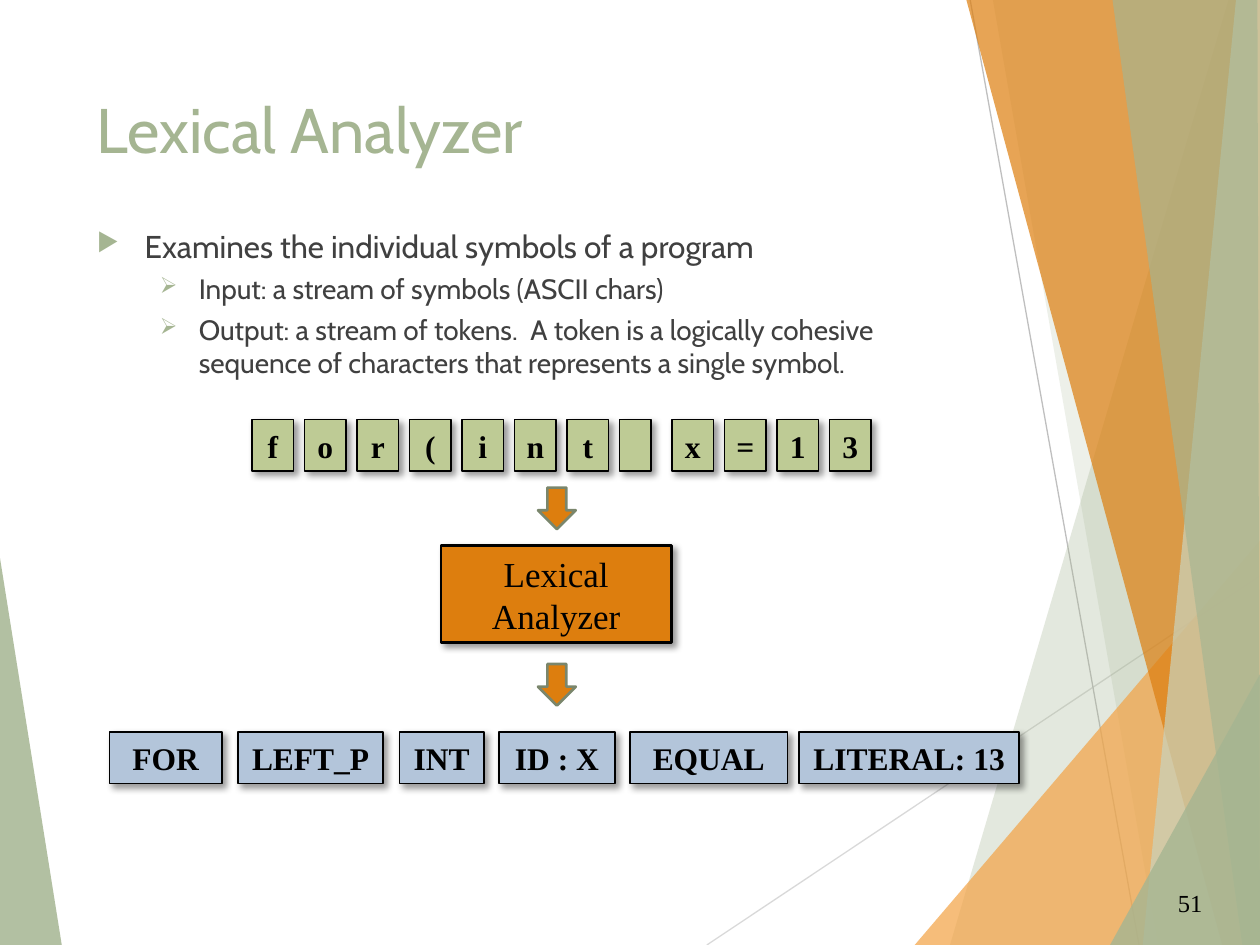
from lxml import etree
from pptx import Presentation, util as u
from pptx.dml.color import RGBColor
from pptx.enum import shapes, text
from pptx.oxml import parse_xml
from pptx.oxml.ns import nsdecls, qn

SERIF, SANS = "Times New Roman", "Cabin"
GREEN, ORANGE, BLACK, GREY = "A5B592", "DD7E0E", "000000", "404040"
SYMBOL_FILL, TOKEN_FILL = "BECB95", "B3C5DA"


def color(value):
    """Turn a hex string into a colour."""
    return RGBColor.from_string(value)


def set_all(target, values):
    """Set every attribute in a dict of format values."""
    for name, value in values.items():
        setattr(target, name, value)


class Deck:
    """Holds the style and the current slide."""

    def __init__(self, width, height):
        """Start a presentation with one blank slide."""
        self.presentation = Presentation()
        set_all(self.presentation, {"slide_width": u.Inches(width),
                                    "slide_height": u.Inches(height)})
        self.slide = self.presentation.slides.add_slide(
            self.presentation.slide_layouts[6])

    def facet(self, points, fill, alpha):
        """Draw a translucent polygon without an outline."""
        corners = [(u.Inches(x), u.Inches(y)) for x, y in points]
        builder = self.slide.shapes.build_freeform(*corners[0], scale=1.0)
        builder.add_line_segments(corners[1:], close=True)
        shape = builder.convert_to_shape()
        shape.shadow.inherit = False
        shape.fill.solid()
        shape.fill.fore_color.rgb = color(fill)
        shape.line.fill.background()
        tint = shape._element.spPr.find(".//" + qn("a:srgbClr"))
        etree.SubElement(tint, qn("a:alpha"), val=str(alpha * 1000))

    def line(self, start, end, stroke):
        """Draw a thin straight line."""
        connector = self.slide.shapes.add_connector(
            shapes.MSO_CONNECTOR.STRAIGHT,
            *[u.Inches(value) for value in start + end])
        connector.line.color.rgb = color(stroke)
        connector.line.width = u.Pt(0.75)
        etree.SubElement(connector._element.spPr, qn("a:effectLst"))

    def shape(self, kind, box, fill, stroke, weight):
        """Draw a filled and outlined preset shape."""
        shape = self.slide.shapes.add_shape(kind, *[u.Inches(value) for value in box])
        shape.shadow.inherit = False
        shape.fill.solid()
        shape.fill.fore_color.rgb = color(fill)
        shape.line.color.rgb = color(stroke)
        shape.line.width = u.Pt(weight)
        return shape

    def label_box(self, words, box, fill, weight=1, size=18, bold=True):
        """Draw a rectangle with a soft shadow and a centred label."""
        shape = self.shape(shapes.MSO_SHAPE.RECTANGLE, box, fill, BLACK, weight)
        shape._element.spPr.find(qn("a:effectLst")).append(parse_xml(
            f'<a:outerShdw {nsdecls("a")} blurRad="{u.Pt(4)}" dist="{u.Pt(3)}" '
            'dir="2700000" algn="ctr" rotWithShape="0"><a:srgbClr val="000000">'
            '<a:alpha val="40000"/></a:srgbClr></a:outerShdw>'))
        if not words:
            return
        set_all(shape.text_frame, {
            "word_wrap": True, "vertical_anchor": text.MSO_ANCHOR.MIDDLE,
            "margin_left": u.Inches(0.05), "margin_right": u.Inches(0.05)})
        paragraph = shape.text_frame.paragraphs[0]
        paragraph.alignment = text.PP_ALIGN.CENTER
        self.run(paragraph, words, SERIF, size, BLACK, bold)

    def run(self, paragraph, words, font, size, ink, bold=False):
        """Add formatted words to a paragraph."""
        run = paragraph.add_run()
        run.text = words
        set_all(run.font, {"name": font, "size": u.Pt(size), "bold": bold})
        run.font.color.rgb = color(ink)

    def text_box(self, box):
        """Add a wrapping text box and return its text frame."""
        frame = self.slide.shapes.add_textbox(
            *[u.Inches(value) for value in box]).text_frame
        frame.word_wrap = True
        return frame

    def label(self, words, box, font, size, ink):
        """Add a single line of text."""
        self.run(self.text_box(box).paragraphs[0], words, font, size, ink)

    def bullets(self, items, box):
        """Add a bulleted list of (level, words)."""
        styles = [("\u25b6", 0.38, 0.38, 10, 18), ("\u27a2", 0.81, 0.31, 4, 16)]
        frame = self.text_box(box)
        for index, (level, words) in enumerate(items):
            paragraph = frame.add_paragraph() if index else frame.paragraphs[0]
            mark, margin, hanging, before, size = styles[level]
            set_all(paragraph, {"level": level, "space_before": u.Pt(before)})
            properties = paragraph._p.get_or_add_pPr()
            properties.set("marL", str(u.Inches(margin)))
            properties.set("indent", str(-u.Inches(hanging)))
            bullet_color = etree.SubElement(properties, qn("a:buClr"))
            etree.SubElement(bullet_color, qn("a:srgbClr"), val=GREEN)
            etree.SubElement(properties, qn("a:buSzPct"), val="80000")
            etree.SubElement(properties, qn("a:buChar"), char=mark)
            self.run(paragraph, words, SANS, size, GREY)


deck = Deck(10, 7.5)

# Decorative background
deck.facet([(0, 4.43), (0.49, 7.5), (0, 7.5)], GREEN, 85)
deck.line((5.61, 7.5), (10, 4.57), "D9D9D9")
deck.line((7.7, 0), (9.04, 7.5), "BFBFBF")
for points, fill, alpha in [
    ([(9.75, 0), (7.54, 7.5), (10, 7.5), (10, 0)], GREEN, 30),
    ([(7.88, 0), (9.19, 7.5), (10, 7.5), (10, 0)], GREEN, 20),
    ([(7.26, 7.5), (10, 4.29), (10, 7.5)], "F3A447", 72),
    ([(7.67, 0), (9.7, 7.5), (10, 7.5), (10, 0)], ORANGE, 70),
    ([(9.81, 0), (9.07, 7.5), (10, 7.5), (10, 0)], "C9D3BE", 70),
    ([(8.83, 0), (9.86, 7.5), (10, 7.5), (9.98, 0)], GREEN, 65),
    ([(8.81, 7.5), (10, 5.35), (10, 7.5)], GREEN, 80),
]:
    deck.facet(points, fill, alpha)

# Text
deck.label("51", (9.25, 7, 0.5, 0.33), SERIF, 14, BLACK)
deck.label("Lexical Analyzer", (0.67, 0.67, 6.94, 0.92), SANS, 36, GREEN)
deck.bullets([
    (0, "Examines the individual symbols of a program"),
    (1, "Input: a stream of symbols (ASCII chars)"),
    (1, "Output: a stream of tokens.  A token is a logically cohesive "
        "sequence of characters that represents a single symbol."),
], (0.67, 1.75, 6.94, 1.37))

# Input symbols, analyzer and output tokens
SYMBOL_PITCH = 5 / 12
for index, symbol in enumerate("for(int x=13"):
    width = 0.25 if symbol == " " else 0.33
    deck.label_box(symbol.strip(), (2 + index * SYMBOL_PITCH, 3.33, width, 0.41),
                   SYMBOL_FILL)

deck.label_box("Lexical Analyzer", (3.5, 4.33, 1.83, 0.77), ORANGE,
               weight=1.5, size=20, bold=False)
for top in (3.87, 5.27):
    deck.shape(shapes.MSO_SHAPE.DOWN_ARROW, (4.27, top, 0.3, 0.33),
               ORANGE, "7A866C", 1.5)

for token, left, width in [
    ("FOR", 0.87, 0.89), ("LEFT_P", 1.89, 1.15), ("INT", 3.17, 0.67),
    ("ID : X", 3.96, 0.92), ("EQUAL", 5, 1.25), ("LITERAL: 13", 6.34, 1.75),
]:
    deck.label_box(token, (left, 5.81, width, 0.41), TOKEN_FILL)

deck.presentation.save("out.pptx")
